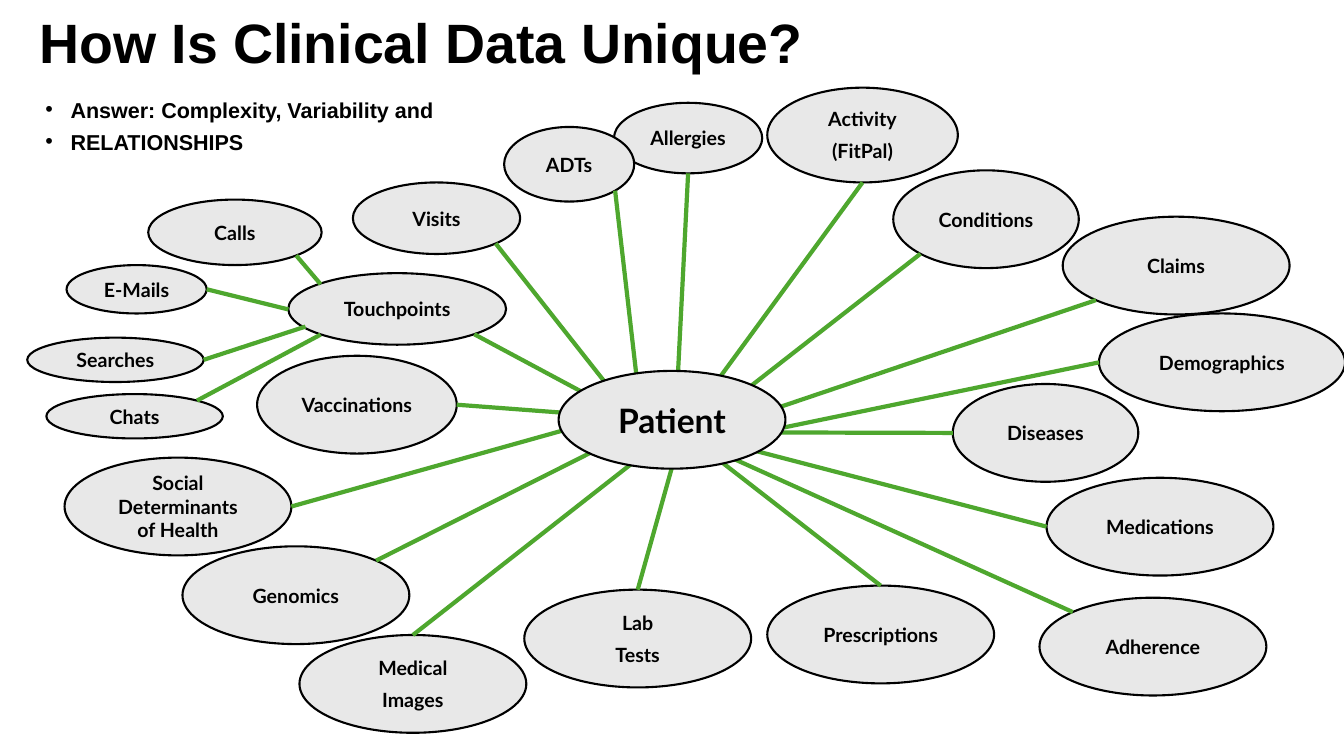
from dataclasses import dataclass
from math import sqrt

from lxml import etree
from pptx import Presentation
from pptx.dml.color import RGBColor
from pptx.enum.shapes import MSO_CONNECTOR, MSO_SHAPE
from pptx.enum.text import MSO_ANCHOR, MSO_AUTO_SIZE, PP_ALIGN
from pptx.oxml.ns import qn
from pptx.util import Inches, Pt

OVAL = MSO_SHAPE.OVAL
STRAIGHT = MSO_CONNECTOR.STRAIGHT
LEFT_ALIGN = PP_ALIGN.LEFT
CENTER = PP_ALIGN.CENTER
TOP_ANCHOR = MSO_ANCHOR.TOP
MIDDLE = MSO_ANCHOR.MIDDLE
NO_AUTOFIT = MSO_AUTO_SIZE.NONE


@dataclass(frozen=True)
class Theme:
    text: RGBColor = RGBColor(0x00, 0x00, 0x00)
    node_fill: RGBColor = RGBColor(0xE8, 0xE8, 0xE8)
    outline: RGBColor = RGBColor(0x00, 0x00, 0x00)
    spoke: RGBColor = RGBColor(0x4E, 0xA7, 0x2E)
    heading_font: str = "Arial"
    node_font: str = "Lato"
    title_size: float = 39.6
    body_size: float = 15.4
    node_size: float = 14
    hub_size: float = 24
    outline_width: float = 1.5
    spoke_width: float = 3


@dataclass(frozen=True)
class Box:
    left: float
    top: float
    width: float
    height: float

    def inside(self, parent):
        return Box(parent.left + self.left, parent.top + self.top, self.width, self.height)


@dataclass(frozen=True)
class Node:
    text: str
    box: Box
    site: tuple
    start: tuple


THEME = Theme()
DIAGONAL = 1 / sqrt(2)
TOP, BOTTOM, LEFT, RIGHT = (0, -1), (0, 1), (-1, 0), (1, 0)
TOP_LEFT, TOP_RIGHT = (-DIAGONAL, -DIAGONAL), (DIAGONAL, -DIAGONAL)
BOTTOM_LEFT, BOTTOM_RIGHT = (-DIAGONAL, DIAGONAL), (DIAGONAL, DIAGONAL)

TITLE = "How Is Clinical Data Unique?"
ANSWERS = ["Answer: Complexity, Variability and", "RELATIONSHIPS"]

PATIENT_BOX = Box(5.54, 3.68, 2.25, 0.97)
TOUCHPOINTS_BOX = Box(2.86, 2.71, 2.16, 0.71)

PATIENT_NODES = [
    Node("Conditions", Box(8.86, 1.69, 1.84, 0.97), BOTTOM_LEFT, (7.46, 3.82)),
    Node("Medications", Box(10.38, 4.74, 2.25, 0.97), LEFT, (7.25, 4.41)),
    Node("Genomics", Box(1.81, 5.42, 2.25, 0.97), TOP_RIGHT, (5.88, 4.48)),
    Node("Activity\n(FitPal)", Box(7.61, 0.87, 1.89, 0.94), BOTTOM, (7.01, 3.92)),
    Node("Lab\nTests", Box(5.2, 5.85, 2.25, 0.97), TOP, (6.7, 4.51)),
    Node("Claims", Box(10.54, 2.15, 2.25, 0.97), BOTTOM_LEFT, (7.61, 4.08)),
    Node("Allergies", Box(6.09, 1.02, 1.47, 0.7), BOTTOM, (6.68, 4.58)),
    Node("Vaccinations", Box(2.55, 3.53, 1.98, 0.97), RIGHT, (5.92, 4.12)),
    Node("Diseases", Box(9.45, 3.81, 1.84, 0.97), LEFT, (7.46, 4.29)),
    Node("Adherence", Box(10.31, 5.93, 2.25, 0.97), TOP_LEFT, (7.25, 4.54)),
    Node("Prescriptions", Box(7.61, 5.81, 2.25, 0.97), TOP, (7.1, 4.54)),
    Node("Visits", Box(3.5, 1.81, 1.66, 0.71), BOTTOM_RIGHT, (6.07, 3.88)),
    Node("Medical\nImages", Box(2.97, 6.3, 2.25, 0.97), TOP, (6.38, 4.51)),
    Node("Demographics", Box(10.9, 3.11, 2.44, 0.97), LEFT, (7.78, 4.24)),
    Node("Social\vDeterminants\vof Health", Box(0.64, 4.54, 2.25, 0.97), RIGHT, (5.8, 4.21)),
    Node("ADTs", Box(5, 1.26, 1.29, 0.74), BOTTOM_RIGHT, (6.33, 3.88)),
    Node("Touchpoints", TOUCHPOINTS_BOX, BOTTOM_RIGHT, (6, 4.01)),
]
TOUCHPOINT_NODES = [
    Node("Calls", Box(1.47, 1.98, 1.72, 0.65), BOTTOM_RIGHT, (3.18, 2.82)),
    Node("E-Mails", Box(0.66, 2.63, 1.39, 0.48), RIGHT, (2.86, 3.07)),
    Node("Searches", Box(0.27, 3.35, 1.75, 0.44), RIGHT, (3.03, 3.24)),
    Node("Chats", Box(0.46, 3.91, 1.75, 0.44), TOP_RIGHT, (3.18, 3.32)),
]


def place(shape, box):
    shape.left, shape.top = Inches(box.left), Inches(box.top)
    shape.width, shape.height = Inches(box.width), Inches(box.height)


def add_run(paragraph, text, font_name, size):
    run = paragraph.add_run()
    run.text = text
    run.font.name = font_name
    run.font.size = Pt(size)
    run.font.bold = True
    run.font.color.rgb = THEME.text


def add_paragraphs(text_frame, lines, space_before):
    for index, line in enumerate(lines):
        paragraph = text_frame.add_paragraph() if index else text_frame.paragraphs[0]
        paragraph.space_before = Pt(space_before if index else 0)
        yield paragraph, line


def fill_title(slide, box):
    title = slide.shapes.title
    place(title, box)
    text_frame = title.text_frame
    text_frame.auto_size = NO_AUTOFIT
    text_frame.vertical_anchor = MIDDLE
    paragraph = text_frame.paragraphs[0]
    paragraph.alignment = LEFT_ALIGN
    paragraph.line_spacing = 0.9
    add_run(paragraph, TITLE, THEME.heading_font, THEME.title_size)


def fill_answers(slide, box):
    body = slide.placeholders[1]
    place(body, box)
    text_frame = body.text_frame
    text_frame.auto_size = NO_AUTOFIT
    text_frame.vertical_anchor = TOP_ANCHOR
    for paragraph, answer in add_paragraphs(text_frame, ANSWERS, 10):
        paragraph.alignment = LEFT_ALIGN
        paragraph.line_spacing = 0.7
        properties = paragraph._p.get_or_add_pPr()
        properties.set("marL", str(Inches(0.25)))
        properties.set("indent", str(Inches(-0.25)))
        etree.SubElement(properties, qn("a:buFont"), typeface="Arial")
        etree.SubElement(properties, qn("a:buChar"), char="•")
        add_run(paragraph, answer, THEME.heading_font, THEME.body_size)


def add_oval(slide, box, text, size):
    oval = slide.shapes.add_shape(OVAL, 0, 0, 0, 0)
    place(oval, box)
    oval.shadow.inherit = False
    oval.fill.solid()
    oval.fill.fore_color.rgb = THEME.node_fill
    oval.line.color.rgb = THEME.outline
    oval.line.width = Pt(THEME.outline_width)
    text_frame = oval.text_frame
    text_frame.word_wrap = True
    text_frame.vertical_anchor = MIDDLE
    for paragraph, block in add_paragraphs(text_frame, text.split("\n"), 6):
        paragraph.alignment = CENTER
        for index, line in enumerate(block.split("\v")):
            if index:
                paragraph.add_line_break()
            add_run(paragraph, line, THEME.node_font, size)
    return oval


def add_spoke(slide, node, oval, area):
    box = node.box.inside(area)
    end_x = box.left + box.width / 2 * (1 + node.site[0])
    end_y = box.top + box.height / 2 * (1 + node.site[1])
    spoke = slide.shapes.add_connector(
        STRAIGHT,
        Inches(area.left + node.start[0]), Inches(area.top + node.start[1]),
        Inches(end_x), Inches(end_y),
    )
    if node.site == TOP:
        spoke.end_connect(oval, 0)
    spoke.line.color.rgb = THEME.spoke
    spoke.line.width = Pt(THEME.spoke_width)
    etree.SubElement(spoke._element.spPr, qn("a:effectLst"))


def draw_relationship_map(slide, area):
    nodes = PATIENT_NODES + TOUCHPOINT_NODES
    ovals = [add_oval(slide, node.box.inside(area), node.text, THEME.node_size) for node in nodes]
    for node, oval in zip(nodes, ovals):
        add_spoke(slide, node, oval, area)
    add_oval(slide, PATIENT_BOX.inside(area), "Patient", THEME.hub_size)


def main():
    presentation = Presentation()
    presentation.slide_width, presentation.slide_height = Inches(13.33), Inches(7.5)
    slide = presentation.slides.add_slide(presentation.slide_layouts[1])
    fill_title(slide, Box(0.29, 0.11, 10.5, 0.69))
    fill_answers(slide, Box(0.35, 0.98, 4.46, 0.62))
    draw_relationship_map(slide, Box(0, 0, 13.33, 7.5))
    presentation.save("out.pptx")


if __name__ == "__main__":
    main()
